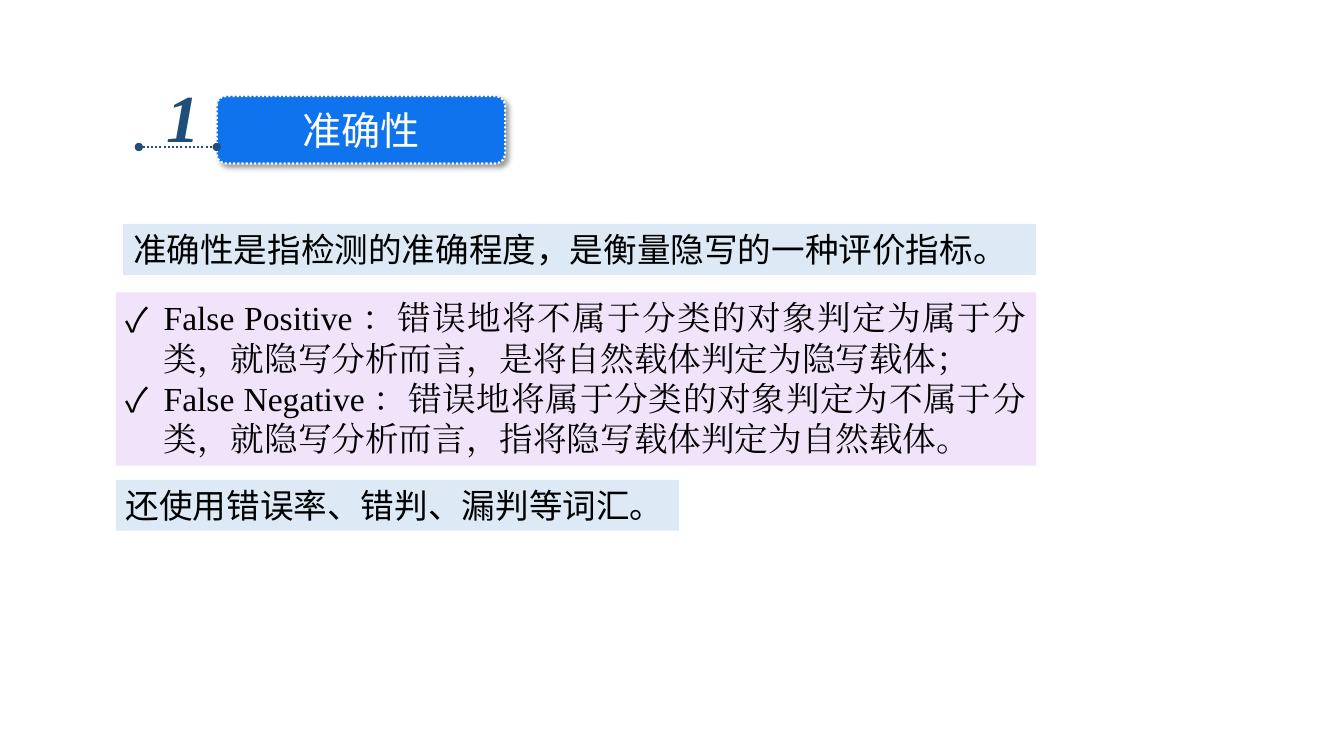
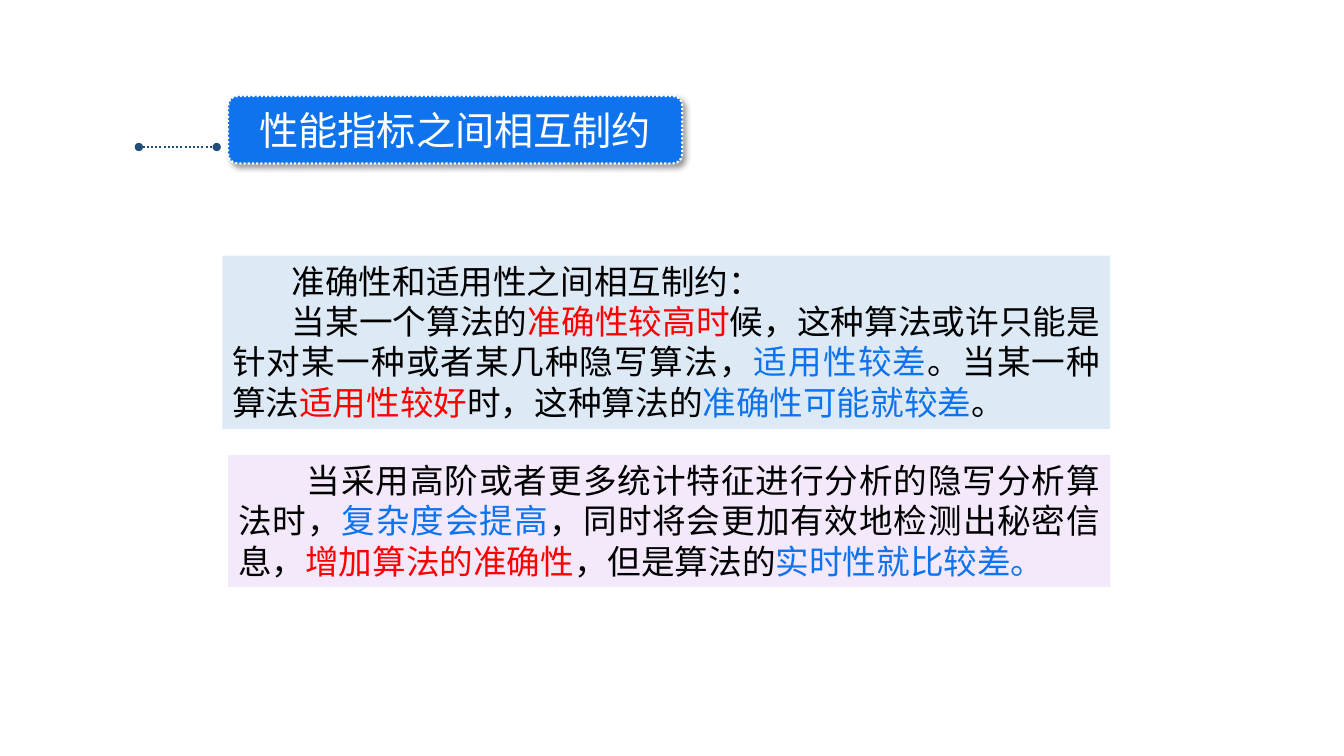
from lxml import etree
from pptx import Presentation
from pptx.dml.color import RGBColor
from pptx.enum import dml, shapes, text
from pptx.oxml import ns
from pptx.util import Pt

SANS, SERIF = "Noto Sans CJK SC", "Times New Roman"
BLUE, NAVY, RED = "0F73EE", "1F4E79", "FF0000"
BLACK, WHITE = "000000", "FFFFFF"
SKY, LILAC = "BDD7EE", "E3C9F7"
BODY = 24

# A paragraph is a list of (text, colour) runs.
# A panel gives its box, fill, opacity, font, paragraphs, and then
# either a first-line indent or a bullet.
SLIDES = [
    dict(
        title="准确性", number="1", box=(154.8, 206),
        panels=[
            dict(box=(82.8, 208.8, 657.3, 123.8), fill=LILAC, alpha=50,
                 font=SERIF, bullet="✓", paras=[
                     [("False Positive：错误地将不属于分类的对象判定为属于分类，"
                       "就隐写分析而言，是将自然载体判定为隐写载体；", BLACK)],
                     [("False Negative：错误地将属于分类的对象判定为不属于分类，"
                       "就隐写分析而言，指将隐写载体判定为自然载体。", BLACK)]]),
            dict(box=(88, 160, 652, 36.3), fill=SKY, alpha=50, font=SANS,
                 paras=[[("准确性是指检测的准确程度，是衡量隐写的一种评价指标。",
                          BLACK)]]),
            dict(box=(82.8, 342.8, 402.3, 36.3), fill=SKY, alpha=50, font=SANS,
                 paras=[[("还使用错误率、错判、漏判等词汇。", BLACK)]]),
        ]),
    dict(
        title="性能指标之间相互制约", number=None, box=(163, 324.3),
        panels=[
            dict(box=(163, 325, 630, 94.3), fill=LILAC, alpha=40, font=SANS,
                 first=49, paras=[
                     [("当采用高阶或者更多统计特征进行分析的隐写分析算法时，", BLACK),
                      ("复杂度会提高", BLUE),
                      ("，同时将会更加有效地检测出秘密信息，", BLACK),
                      ("增加算法的准确性", RED),
                      ("，但是算法的", BLACK),
                      ("实时性就比较差。", BLUE)]]),
            dict(box=(158.8, 182.6, 634.2, 123.8), fill=SKY, alpha=50,
                 font=SANS, first=42.5, paras=[
                     [("准确性和适用性之间相互制约：", BLACK)],
                     [("当某一个算法的", BLACK),
                      ("准确性较高时", RED),
                      ("候，这种算法或许只能是针对某一种或者某几种隐写算法，", BLACK),
                      ("适用性较差", BLUE),
                      ("。当某一种算法", BLACK),
                      ("适用性较好", RED),
                      ("时，这种算法的", BLACK),
                      ("准确性可能就较差", BLUE),
                      ("。", BLACK)]]),
        ]),
]


def rgb(code):
    return RGBColor.from_string(code)


def sub(node, tag, **attrs):
    return etree.SubElement(node, ns.qn(tag),
                            {k: str(v) for k, v in attrs.items()})


def style(run, size, font, color):
    run.font.size = Pt(size)
    run.font.name = font
    run.font.color.rgb = rgb(color)
    sub(run.font._element, "a:ea", typeface=font)


def dots(line, color):
    line.color.rgb = rgb(color)
    line.width = Pt(1.5)
    line.dash_style = dml.MSO_LINE.ROUND_DOT


def add_box(slide, kind, box, fill):
    shape = slide.shapes.add_shape(kind, *map(Pt, box))
    shape.shadow.inherit = False
    shape.fill.solid()
    shape.fill.fore_color.rgb = rgb(fill)
    shape.text_frame.word_wrap = True
    return shape


def add_title(slide, title, left, width):
    shape = add_box(slide, shapes.MSO_SHAPE.ROUNDED_RECTANGLE,
                    (left, 68.6, width, 48.2), BLUE)
    shape.adjustments[0] = 0.14
    dots(shape.line, WHITE)
    glow = shape._element.spPr.find(ns.qn("a:effectLst"))
    cast = sub(glow, "a:outerShdw", blurRad=Pt(4), dist=Pt(3),
               dir=45 * 60000, algn="tl", rotWithShape=0)
    sub(sub(cast, "a:prstClr", val="black"), "a:alpha", val=40000)
    frame = shape.text_frame
    frame.text = title
    frame.vertical_anchor = text.MSO_ANCHOR.MIDDLE
    para = frame.paragraphs[0]
    para.alignment = text.PP_ALIGN.CENTER
    style(para.runs[0], 28, SANS, WHITE)


def add_number(slide, number):
    label = slide.shapes.add_textbox(Pt(111.6), Pt(50.4), Pt(38.9), Pt(65.5))
    label.text_frame.word_wrap = False
    label.text_frame.text = number
    run = label.text_frame.paragraphs[0].runs[0]
    style(run, 48, SERIF, NAVY)
    run.font.bold = run.font.italic = True


def add_rule(slide):
    """Dotted line with a round dot at each end, left of the title."""
    rule = slide.shapes.add_connector(shapes.MSO_CONNECTOR.STRAIGHT,
                                      Pt(99.2), Pt(105), Pt(154.8), Pt(105))
    dots(rule.line, NAVY)
    for end in ("a:headEnd", "a:tailEnd"):
        sub(rule.line._ln, end, type="oval")
    sub(rule._element.spPr, "a:effectLst")


def add_panel(slide, box, fill, alpha, font, paras, first=0, bullet=None):
    shape = add_box(slide, shapes.MSO_SHAPE.RECTANGLE, box, fill)
    shape.line.fill.background()
    tint = shape.fill._xPr.find(ns.qn("a:solidFill"))[0]
    sub(tint, "a:alpha", val=alpha * 1000)
    frame = shape.text_frame
    frame.vertical_anchor = text.MSO_ANCHOR.TOP
    for i, runs in enumerate(paras):
        para = frame.add_paragraph() if i else frame.paragraphs[0]
        para.alignment = text.PP_ALIGN.JUSTIFY
        props = para._p.get_or_add_pPr()
        if bullet:
            props.set("marL", str(Pt(27)))
            props.set("indent", str(-Pt(27)))
            sub(props, "a:buFont", typeface=SANS)
            sub(props, "a:buChar", char=bullet)
        elif first:
            props.set("indent", str(Pt(first)))
        for words, color in runs:
            run = para.add_run()
            run.text = words
            style(run, 24, font, color)


def main():
    deck = Presentation()
    deck.slide_width, deck.slide_height = Pt(960), Pt(540)
    for page in SLIDES:
        slide = deck.slides.add_slide(deck.slide_layouts[6])
        add_title(slide, page["title"], *page["box"])
        if page["number"]:
            add_number(slide, page["number"])
        add_rule(slide)
        for panel in page["panels"]:
            add_panel(slide, **panel)
    deck.save("out.pptx")


if __name__ == "__main__":
    main()
